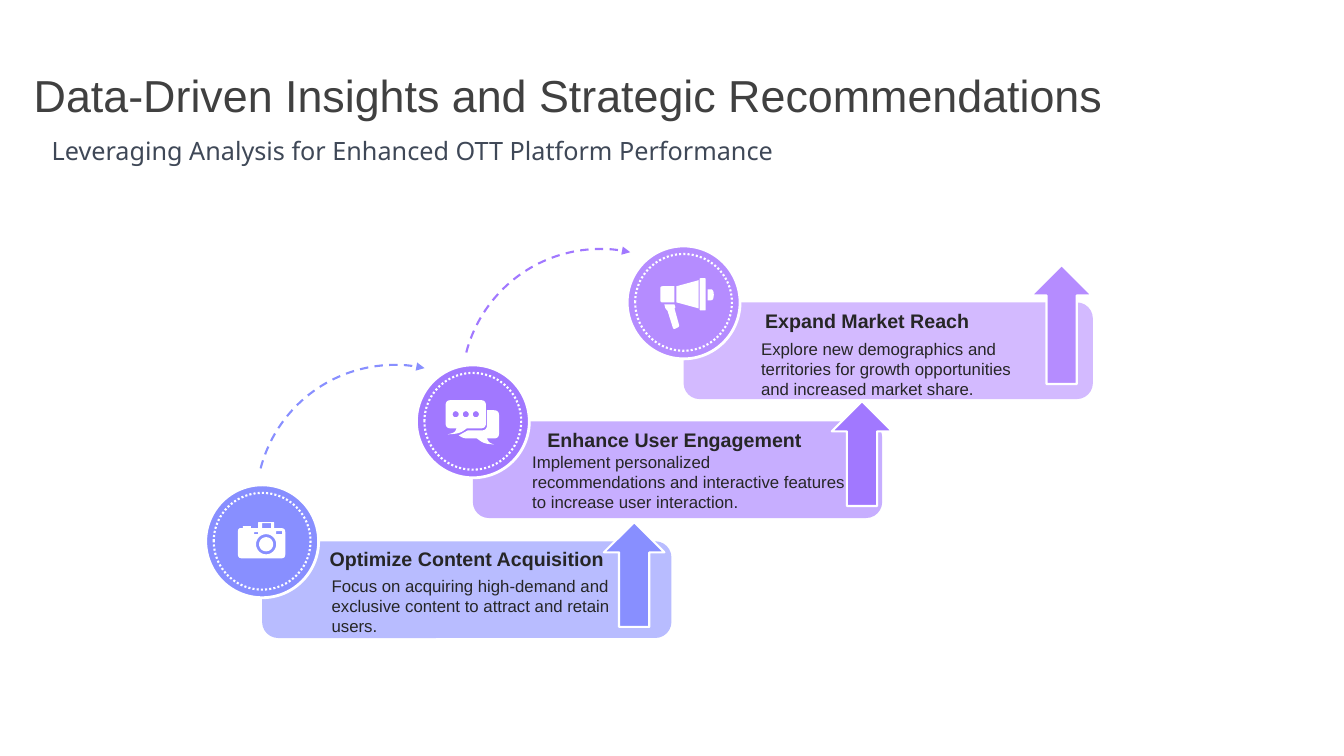
"""Build a slide of three rising recommendation steps with badges and arrows."""
import dataclasses
import math
import typing

import lxml.etree
import pptx
import pptx.dml.color
import pptx.enum.dml
import pptx.enum.shapes
import pptx.enum.text
import pptx.oxml.ns
import pptx.presentation
import pptx.shapes.autoshape
import pptx.slide
import pptx.util

EMU_PER_PX = 9144
SLIDE_SIZE = (1333, 750)
CARD_SIZE = (406, 96)
BADGE_SIZE = 112
RING_SIZE = 96
ARC_SIZE = 275
ARC_ANGLES = (194.66, 282.43)
ARROW_WIDTH = 60
COLORS = {
    "white": "FFFFFF", "title": "404040", "subtitle": "3F4857", "text": "262626",
    "blue": "888FFF", "blue card": "B8BCFF", "violet": "A178FF",
    "violet card": "C7AEFF", "lilac": "B58CFF", "lilac card": "D3BAFF",
}
FONTS = {
    "title": {"name": "Arial", "size": pptx.util.Pt(32)},
    "subtitle": {"name": "Noto Sans", "size": pptx.util.Pt(18)},
    "heading": {"name": "Arial", "size": pptx.util.Pt(14), "bold": True},
    "body": {"name": "Arial", "size": pptx.util.Pt(12)},
}
HEADLINE_FORMAT = {
    "alignment": pptx.enum.text.PP_ALIGN.CENTER,
    "line_spacing": 0.9,
    "space_before": pptx.util.Pt(0),
}
Preset = pptx.enum.shapes.MSO_SHAPE
Dash = pptx.enum.dml.MSO_LINE
Box = tuple[int, int, int, int]
Contour = list[tuple[float, float]]


@dataclasses.dataclass(frozen=True)
class Line:
    color: str
    width: float
    dash: typing.Optional[Dash] = None


@dataclasses.dataclass(frozen=True)
class Step:
    color: str
    left: int
    top: int
    heading: str
    heading_box: Box
    body: str
    body_box: Box
    arrow_box: Box
    icon: list[Contour]
    arc_corner: typing.Optional[tuple[int, int]] = None


def disc(x: int, y: int, radius: int) -> Contour:
    angles = [math.tau * index / 32 for index in range(32)]
    return [(x + radius * math.cos(angle), y + radius * math.sin(angle)) for angle in angles]


def block(left: int, top: int, right: int, bottom: int, radius: int = 0) -> Contour:
    return outline((left, top, radius), (right, top, radius),
                   (right, bottom, radius), (left, bottom, radius))


def outline(*corners: tuple[int, ...]) -> Contour:
    points: Contour = []
    for index, (x, y, *radius) in enumerate(corners):
        if not any(radius):
            points.append((x, y))
            continue
        ends = []
        for other in (corners[index - 1], corners[(index + 1) % len(corners)]):
            share = min(radius[0] / math.dist((x, y), other[:2]), 0.5)
            ends.append((x + (other[0] - x) * share, y + (other[1] - y) * share))
        for part in (0, 0.2, 0.4, 0.6, 0.8, 1):
            weights = ((1 - part) ** 2, 2 * part * (1 - part), part ** 2)
            curve = (ends[0], (x, y), ends[1])
            points.append((sum(w * p[0] for w, p in zip(weights, curve)),
                           sum(w * p[1] for w, p in zip(weights, curve))))
    return points


CAMERA = [
    disc(264, 540, 7), disc(264, 540, 10), block(252, 528, 256, 530),
    block(274, 527, 280, 530), block(260, 519, 269, 524),
    outline((236, 524, 4), (241, 524), (241, 522), (249, 522), (249, 524), (256, 524),
            (256, 518, 1), (272, 518, 1), (272, 524), (283, 524, 4), (283, 554, 4),
            (236, 554, 4)),
]
CHAT = [
    *(disc(x, 411, 3) for x in (452, 462, 472)),
    outline((483, 407), (495, 407, 5), (495, 435, 5), (483, 435), (485, 439, 3),
            (490, 441), (480, 440, 5), (473, 435), (460, 435, 4), (455, 432),
            (464, 427), (483, 427, 5)),
    outline((442, 397, 5), (482, 397, 5), (482, 425, 5), (463, 425), (456, 430, 6),
            (444, 431), (451, 429, 3), (453, 425), (442, 425, 5)),
]
MEGAPHONE = [
    outline((659, 302), (669, 302), (670, 305, 1), (669, 306), (674, 324, 2),
            (668, 327, 2), (662, 308, 1), (660, 306, 1)),
    outline((702, 287), (708, 287, 6), (708, 298, 6), (702, 298)),
    outline((655, 284, 2), (669, 284), (669, 300), (655, 300, 2)),
    outline((693, 278), (693, 306), (671, 300), (671, 284)),
    block(694, 276, 700, 308, 1),
]
STEPS = [
    Step("blue", 260, 537, "Optimize Content Acquisition", (317, 538, 332, 34),
         "Focus on acquiring high-demand and exclusive content to attract and retain users.",
         (319, 566, 296, 71), (599, 518, ARROW_WIDTH, 104), CAMERA, (254, 362)),
    Step("violet", 469, 418, "Enhance User Engagement", (533, 420, 281, 34),
         "Implement personalized recommendations and interactive features "
         "to increase user interaction.",
         (518, 443, 331, 71), (825, 398, ARROW_WIDTH, 104), CHAT, (458, 247)),
    Step("lilac", 678, 300, "Expand Market Reach", (749, 302, 281, 34),
         "Explore new demographics and territories for growth opportunities "
         "and increased market share.",
         (745, 331, 281, 71), (1023, 263, ARROW_WIDTH, 118), MEGAPHONE),
]


def px(value: float) -> pptx.util.Emu:
    return pptx.util.Emu(round(value * EMU_PER_PX))


def rgb(name: str) -> pptx.dml.color.RGBColor:
    return pptx.dml.color.RGBColor.from_string(COLORS[name])


def paint(shape: pptx.shapes.autoshape.Shape, fill: typing.Optional[str],
          line: typing.Optional[Line]) -> None:
    shape.shadow.inherit = False
    if fill:
        shape.fill.solid()
        shape.fill.fore_color.rgb = rgb(fill)
    else:
        shape.fill.background()
    if line:
        shape.line.color.rgb = rgb(line.color)
        shape.line.width = pptx.util.Pt(line.width)
        shape.line.dash_style = line.dash
    else:
        shape.line.fill.background()


def add_preset(slide: pptx.slide.Slide, preset: Preset, box: Box,
               fill: typing.Optional[str] = None,
               line: typing.Optional[Line] = None) -> pptx.shapes.autoshape.Shape:
    shape = slide.shapes.add_shape(preset, *map(px, box))
    paint(shape, fill, line)
    return shape


def add_arc(slide: pptx.slide.Slide, corner: tuple[int, int], color: str) -> None:
    arc = add_preset(slide, Preset.ARC, (*corner, ARC_SIZE, ARC_SIZE),
                     line=Line(color, 1.5, Dash.DASH))
    for index, angle in enumerate(ARC_ANGLES):
        arc.adjustments[index] = angle * 0.6
    line = arc.element.spPr.find(pptx.oxml.ns.qn("a:ln"))
    lxml.etree.SubElement(line, pptx.oxml.ns.qn("a:tailEnd"), type="triangle")


def add_icon(slide: pptx.slide.Slide, contours: list[Contour]) -> None:
    scaled = [[(px(x), px(y)) for x, y in contour] for contour in contours]
    builder = slide.shapes.build_freeform(*scaled[0][0])
    for index, contour in enumerate(scaled):
        if index:
            builder.move_to(*contour[0])
        builder.add_line_segments(contour[1:], close=True)
    paint(builder.convert_to_shape(), "white", None)


def add_text(slide: pptx.slide.Slide, box: Box, text: str, style: str, color: str,
             paragraph_format: typing.Optional[dict[str, typing.Any]] = None) -> None:
    frame = slide.shapes.add_textbox(*map(px, box)).text_frame
    frame.word_wrap = True
    paragraph = frame.paragraphs[0]
    if paragraph_format:
        frame.vertical_anchor = pptx.enum.text.MSO_ANCHOR.MIDDLE
    run = paragraph.add_run()
    run.text = text
    for target, values in ((paragraph, paragraph_format or {}), (run.font, FONTS[style])):
        for name, value in values.items():
            setattr(target, name, value)
    run.font.color.rgb = rgb(color)


def add_step(slide: pptx.slide.Slide, step: Step) -> None:
    add_preset(slide, Preset.ROUNDED_RECTANGLE, (step.left, step.top, *CARD_SIZE),
               f"{step.color} card")
    for size, fill, line in ((BADGE_SIZE, step.color, Line("white", 2)),
                             (RING_SIZE, None, Line("white", 1.5, Dash.ROUND_DOT))):
        add_preset(slide, Preset.OVAL,
                   (step.left - size // 2, step.top - size // 2, size, size), fill, line)
    if step.arc_corner:
        add_arc(slide, step.arc_corner, step.color)
    add_text(slide, step.body_box, step.body, "body", "text")
    add_text(slide, step.heading_box, step.heading, "heading", "text")
    add_preset(slide, Preset.UP_ARROW, step.arrow_box, step.color, Line("white", 1.5))
    add_icon(slide, step.icon)


def main() -> None:
    presentation = pptx.Presentation()
    presentation.slide_width, presentation.slide_height = map(px, SLIDE_SIZE)
    slide = presentation.slides.add_slide(presentation.slide_layouts[6])
    add_text(slide, (-69, 58, 1266, 79), "Data-Driven Insights and Strategic Recommendations",
             "title", "title", HEADLINE_FORMAT)
    add_text(slide, (-224, 112, 1266, 79),
             "Leveraging Analysis for Enhanced OTT Platform Performance",
             "subtitle", "subtitle", HEADLINE_FORMAT)
    for step in STEPS:
        add_step(slide, step)
    presentation.save("out.pptx")


if __name__ == "__main__":
    main()
